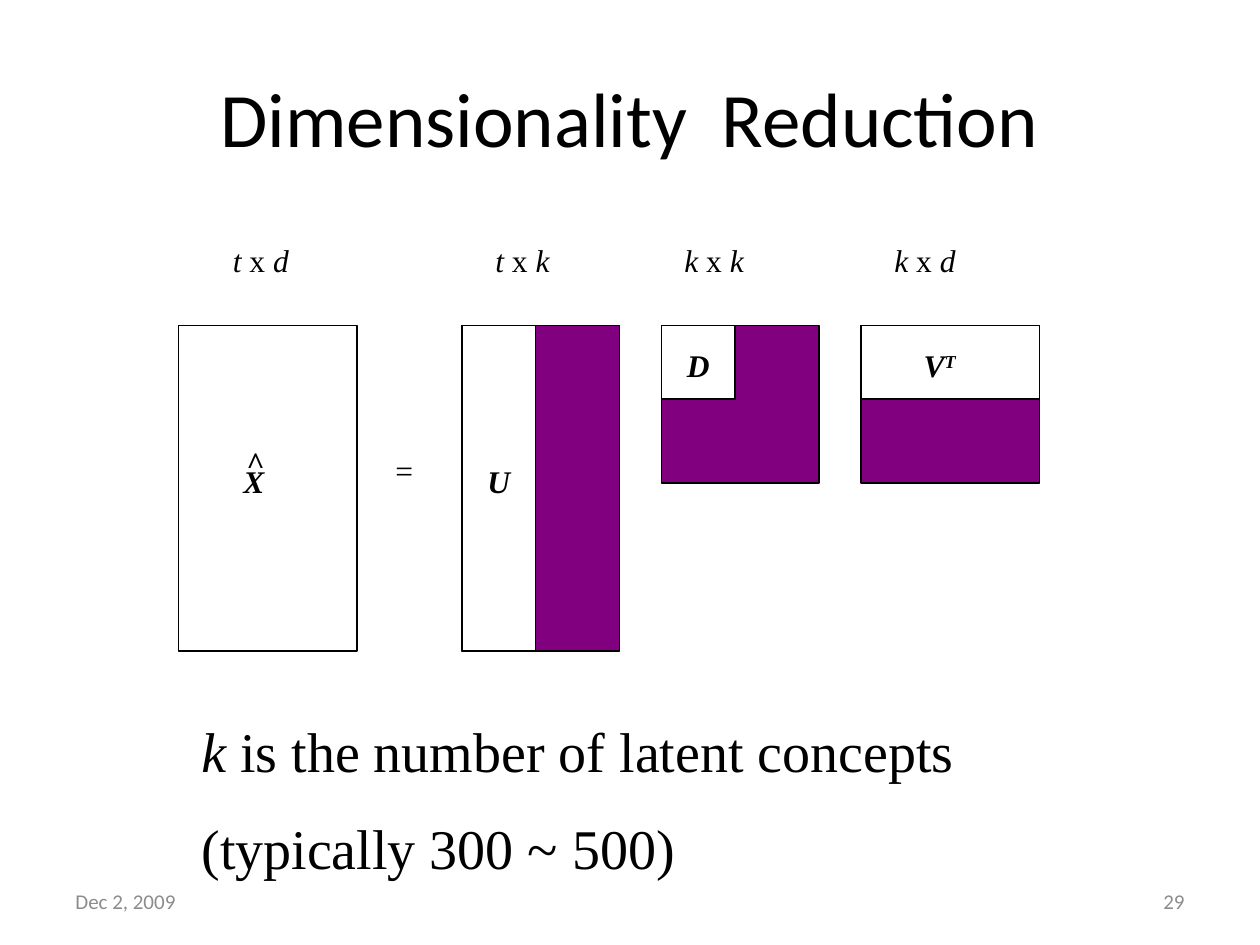
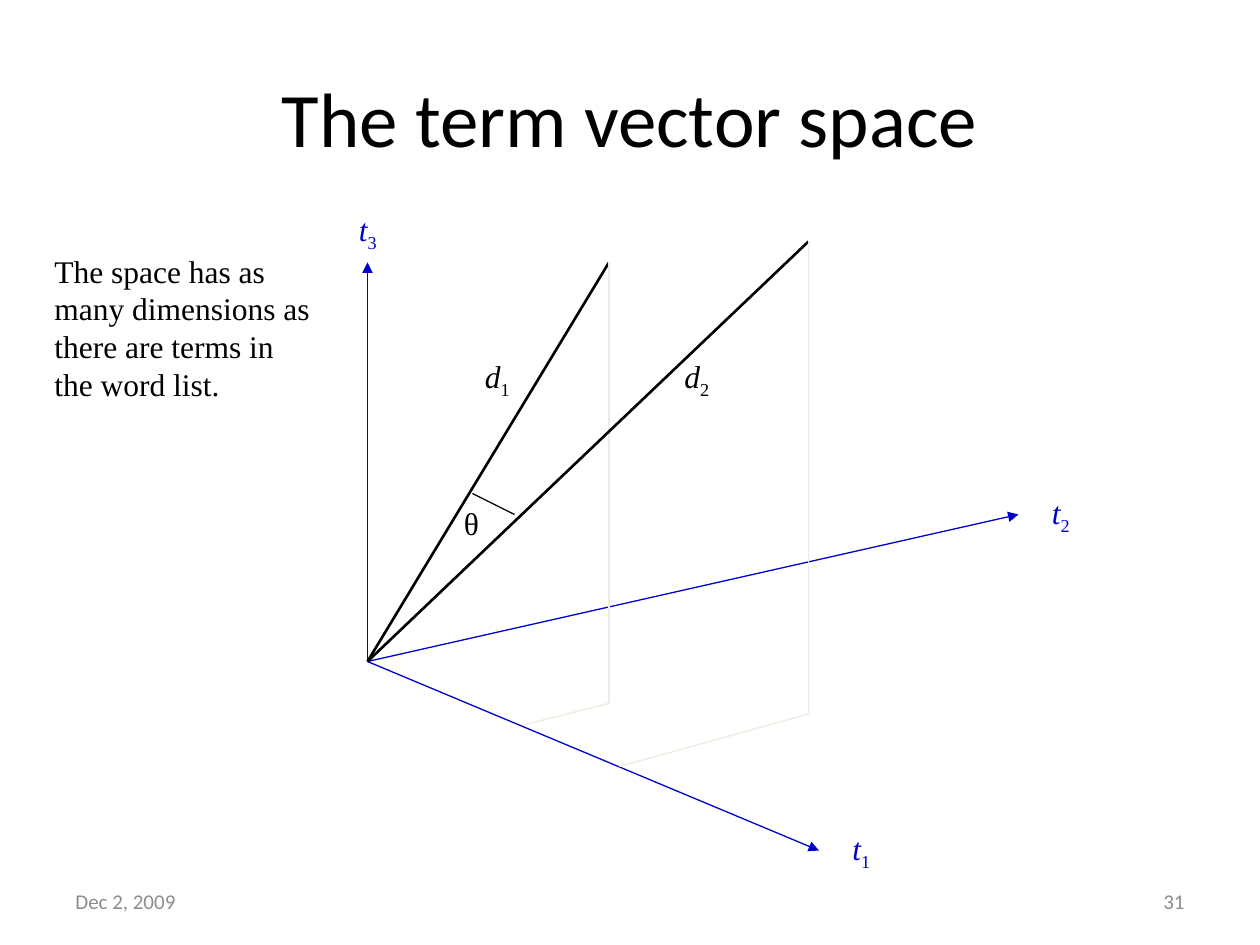
"""Build two slides on latent concepts and the term vector space."""
import pptx
import pptx.util
import pptx.dml.color
import pptx.enum.shapes
import pptx.enum.text
import pptx.oxml.ns
import lxml.etree

PX = 7620
RGB = pptx.dml.color.RGBColor
BLACK = RGB(0, 0, 0)
WHITE = RGB(255, 255, 255)
PURPLE = RGB(0x80, 0, 0x80)
BLUE = RGB(0, 0, 0xCC)
CREAM = RGB(0xEE, 0xEC, 0xE1)
GREY = RGB(0x8C, 0x8C, 0x8C)
SANS, SERIF = "Calibri", "Times New Roman"
ALIGN = pptx.enum.text.PP_ALIGN
MID = pptx.enum.text.MSO_ANCHOR.MIDDLE
TOP = pptx.enum.text.MSO_ANCHOR.TOP


def scale(*sizes):
    return [pptx.util.Emu(size * PX) for size in sizes]


def write(slide, text, box, size=18, font=SERIF, color=BLACK, bold=False,
          align=ALIGN.LEFT, anchor=TOP, tail="", base=0, gap=0):
    frame = slide.shapes.add_textbox(*scale(*box)).text_frame
    frame.word_wrap = True
    frame.vertical_anchor = anchor
    if anchor == TOP:
        frame.margin_top = pptx.util.Pt(3.6 + size / 8)
    for row, words in enumerate(text.split("\n")):
        para = frame.paragraphs[0] if row == 0 else frame.add_paragraph()
        para.alignment = align
        if row:
            para.space_before = pptx.util.Pt(gap)
        parts = [(part, i % 2 == 1, 0) for i, part in enumerate(words.split("*"))]
        parts.append((tail, base > 0, base))
        for part, slant, shift in parts:
            if not part:
                continue
            run = para.add_run()
            run.text = part
            run.font.size = pptx.util.Pt(size)
            run.font.name = font
            run.font.color.rgb = color
            run.font.bold = bold
            run.font.italic = slant
            if shift:
                run.font._element.set("baseline", str(shift))


def block(slide, fill, *box):
    kind = pptx.enum.shapes.MSO_SHAPE.RECTANGLE
    shape = slide.shapes.add_shape(kind, *scale(*box))
    shape.shadow.inherit = False
    shape.fill.solid()
    shape.fill.fore_color.rgb = fill
    shape.line.color.rgb = BLACK
    shape.line.width = pptx.util.Pt(0.75)


def line(slide, start, end, color=BLACK, width=0.75, arrow=False):
    kind = pptx.enum.shapes.MSO_CONNECTOR.STRAIGHT
    link = slide.shapes.add_connector(kind, *scale(*start, *end))
    link.line.color.rgb = color
    link.line.width = pptx.util.Pt(width)
    name = pptx.oxml.ns.qn
    if arrow:
        edge = link.line._get_or_add_ln()
        lxml.etree.SubElement(edge, name("a:tailEnd"), type="triangle")
    lxml.etree.SubElement(link._element.spPr, name("a:effectLst"))


def start(deck, title, page):
    slide = deck.slides.add_slide(deck.slide_layouts[6])
    write(slide, title, (60, 36, 1080, 150), size=44, font=SANS,
          align=ALIGN.CENTER, anchor=MID)
    foot = dict(size=12, font=SANS, color=GREY, anchor=MID)
    write(slide, "Dec 2, 2009", (60, 834, 280, 48), **foot)
    write(slide, page, (860, 834, 280, 48), align=ALIGN.RIGHT, **foot)
    return slide


def reduce(deck):
    slide = start(deck, "Dimensionality  Reduction", "29")
    top, full, rank, cut = 310, 310, 150, 70
    block(slide, WHITE, 170, top, 170, full)
    for left, wide, high, keep in (
            (440, rank, full, (cut, full)),
            (630, rank, rank, (cut, cut)),
            (820, 170, rank, (170, cut))):
        block(slide, PURPLE, left, top, wide, high)
        block(slide, WHITE, left, top, *keep)

    for text, left, wide in (("*t* x *d*", 210, 100), ("*t* x *k*", 460, 120),
                             ("*k* x *k*", 640, 130), ("*k* x *d*", 840, 120)):
        write(slide, text, (left, 220, wide, 60))

    write(slide, "*X*", (220, 430, 70, 60), bold=True)
    write(slide, "*^*", (223, 412, 70, 60), bold=True)
    write(slide, "=", (350, 420, 70, 60), align=ALIGN.CENTER)
    mark = dict(bold=True, align=ALIGN.CENTER)
    write(slide, "*U*", (440, 430, 70, 48), **mark)
    write(slide, "*D*", (630, 320, 70, 48), **mark)
    write(slide, "*V*", (850, 320, 90, 48), tail="T", base=30000, **mark)
    write(slide, "*k* is the number of latent concepts\n(typically 300 ~ 500)",
          (180, 670, 950, 174), size=32, gap=17)


def space(deck):
    slide = start(deck, "The term vector space", "31")
    root = (350, 630)
    for sub, tip, spot in (("3", (350, 250), (330, 190)),
                           ("2", (970, 490), (990, 460)),
                           ("1", (780, 810), (800, 780))):
        line(slide, root, tip, BLUE, arrow=True)
        write(slide, "*t*", (*spot, 60, 60), color=BLUE, tail=sub, base=-25000)

    for sub, tip, foot, base, left in (
            ("1", (580, 250), (580, 670), (500, 690), 450),
            ("2", (770, 230), (770, 680), (590, 730), 640)):
        line(slide, root, tip, width=1.5)
        line(slide, tip, foot, CREAM)
        line(slide, base, foot, CREAM)
        write(slide, "*d*", (left, 330, 70, 60), tail=sub, base=-25000)

    line(slide, (450, 470), (490, 490))
    write(slide, "θ", (430, 470, 70, 60))
    write(slide, "The space has as many dimensions as there are terms in "
          "the word list.", (40, 230, 270, 372))


def main():
    deck = pptx.Presentation()
    deck.slide_width, deck.slide_height = scale(1200, 900)
    reduce(deck)
    space(deck)
    deck.save("out.pptx")


if __name__ == "__main__":
    main()
